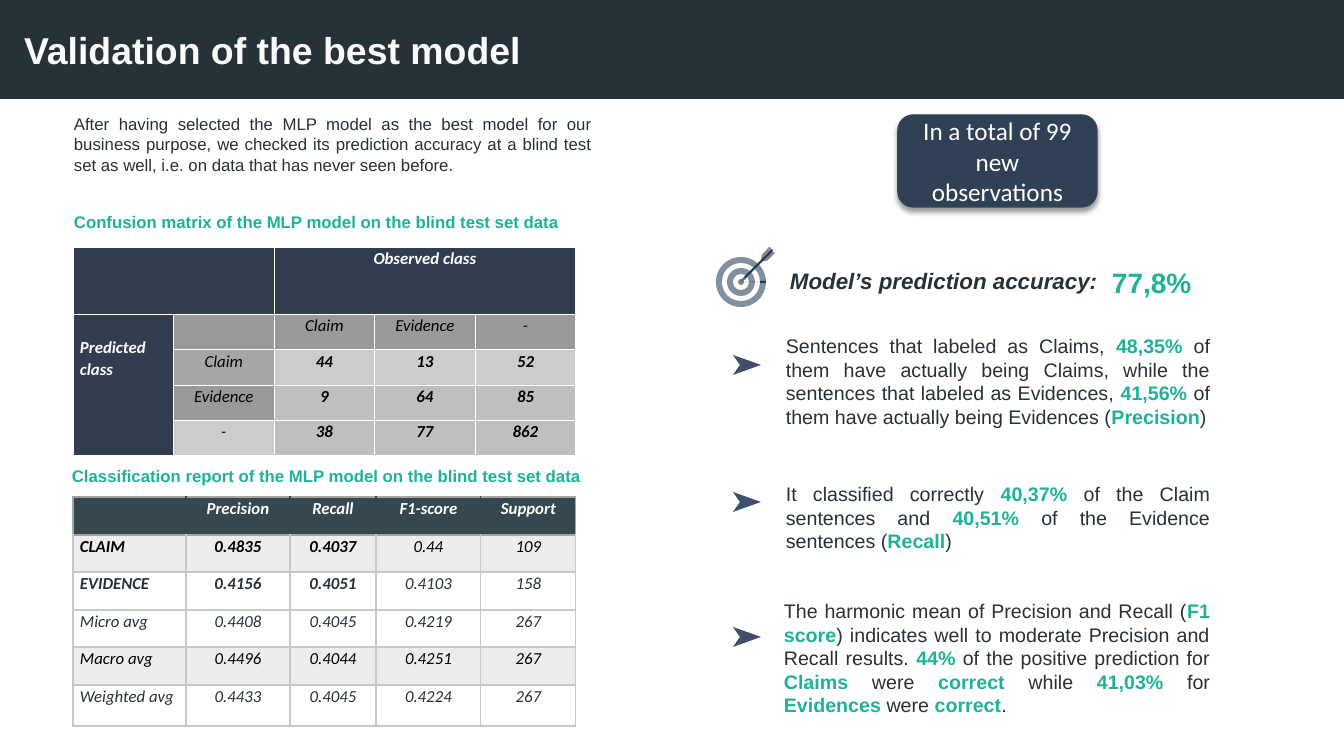
from lxml.etree import SubElement
from pptx import Presentation
from pptx.dml.color import RGBColor
from pptx.enum.shapes import MSO_SHAPE as Shape
from pptx.enum.text import MSO_ANCHOR as Anchor, PP_ALIGN as Align
from pptx.oxml import parse_xml
from pptx.oxml.ns import nsdecls, qn
from pptx.util import Pt

SCALE = 914400 / 100.8  # EMU in one px
INK, TEAL, WHITE, BLACK = "263238", "1FB299", "FFFFFF", "000000"
NAVY, STEEL, ARROW = "323E4F", "81909E", "3E516C"
HEADER, RULE, GRID, BAND = "37474F", "A5A5A5", "C9C9C9", "EDEDED"


def px(length):
    return round(length * SCALE)


def rgb(color):
    return RGBColor.from_string(color)


class Page:
    """Style and drawing methods for the current slide."""

    def __init__(self, deck):
        slide = deck.slides.add_slide(deck.slide_layouts[6])
        self.top_shapes = self.shapes = slide.shapes

    def start_group(self):
        self.shapes = self.top_shapes.add_group_shape().shapes

    def end_group(self):
        self.shapes = self.top_shapes

    def paint(self, shape, fill, line=None):
        shape.shadow.inherit = False
        shape.fill.solid()
        shape.fill.fore_color.rgb = rgb(fill)
        if line:
            shape.line.color.rgb = rgb(line)
            shape.line.width = Pt(1)
        else:
            shape.line.fill.background()
        return shape

    def shape(self, kind, left, top, width, height, fill, line=None):
        item = self.shapes.add_shape(kind, px(left), px(top), px(width), px(height))
        return self.paint(item, fill, line)

    def polygon(self, points, fill):
        builder = self.shapes.build_freeform(*points[0], scale=SCALE)
        builder.add_line_segments(points[1:], close=True)
        return self.paint(builder.convert_to_shape(), fill)

    def fill_text(self, frame, text, size, color=INK, bold=False, italic=False,
                  align=Align.LEFT, font="Arial", spacing=None):
        """Fill a frame; parts between asterisks become bold and teal."""
        frame.word_wrap = True
        para = frame.paragraphs[0]
        para.alignment = align
        if spacing:
            para.line_spacing = spacing
        style = para.font
        style.name, style.size = font, Pt(size)
        style.bold, style.italic = bold, italic
        style.color.rgb = rgb(color)
        for index, part in enumerate(text.split("*")):
            if not part:
                continue
            span = para.add_run()
            span.text = part
            if index % 2:
                span.font.bold = True
                span.font.color.rgb = rgb(TEAL)

    def text(self, left, top, width, height, text, size, **style):
        box = self.shapes.add_textbox(px(left), px(top), px(width), px(height))
        self.fill_text(box.text_frame, text, size, **style)

    def table(self, left, top, widths, heights):
        frame = self.shapes.add_table(len(heights), len(widths), px(left), px(top),
                                      px(sum(widths)), px(sum(heights)))
        table = frame.table
        table.first_row = table.horz_banding = False
        for column, width in zip(table.columns, widths):
            column.width = px(width)
        for row, height in zip(table.rows, heights):
            row.height = px(height)
        return table

    def cell(self, cell, text, fill, borders, color=BLACK, bold=False, align=Align.CENTER):
        """Borders are four colours: left, right, top, bottom."""
        cell.margin_left = cell.margin_right = px(7)
        cell.margin_top = cell.margin_bottom = 0
        properties = cell._tc.get_or_add_tcPr()
        for side, border in zip("LRTB", borders):
            line = SubElement(properties, qn(f"a:ln{side}"), w=str(Pt(1)))
            solid = SubElement(line, qn("a:solidFill"))
            SubElement(solid, qn("a:srgbClr"), val=border)
        if fill:
            cell.fill.solid()
            cell.fill.fore_color.rgb = rgb(fill)
        else:
            cell.fill.background()
        self.fill_text(cell.text_frame, text, 12, color, bold, True, align, "Calibri", 1.07)


def add_confusion_matrix(page):
    rows = [
        ["", "", "Observed class", "", ""],
        ["Predicted class", "", "Claim", "Evidence", "-"],
        ["", "Claim", "44", "13", "52"],
        ["", "Evidence", "9", "64", "85"],
        ["", "-", "38", "77", "862"],
    ]
    label_fills = [NAVY, "999999", "A6A6A6", "999999", "CCCCCC"]
    value_fills = [NAVY, "999999", "CCCCCC", "BFBFBF", "BFBFBF"]
    table = page.table(73, 247, [100.6] * 5, [67.6] + [35.3] * 4)
    for r, row in enumerate(rows):
        for c, value in enumerate(row):
            heading = r == 0 or c == 0
            fill = NAVY if heading else label_fills[r] if c == 1 else value_fills[r]
            page.cell(table.cell(r, c), value, fill, [WHITE] * 4,
                      color=WHITE if heading else BLACK,
                      bold=heading or (r > 1 and c > 1),
                      align=Align.LEFT if c == 0 else Align.CENTER)
    table.cell(1, 0).margin_top = px(22)
    for first, last in [((0, 0), (0, 1)), ((0, 2), (0, 4)), ((1, 0), (4, 0))]:
        table.cell(*first).merge(table.cell(*last))


def add_classification_report(page):
    rows = [
        ["", "Precision", "Recall", "F1-score", "Support"],
        ["CLAIM", "0.4835", "0.4037", "0.44", "109"],
        ["EVIDENCE", "0.4156", "0.4051", "0.4103", "158"],
        ["Micro avg", "0.4408", "0.4045", "0.4219", "267"],
        ["Macro avg", "0.4496", "0.4044", "0.4251", "267"],
        ["Weighted avg", "0.4433", "0.4045", "0.4224", "267"],
    ]
    table = page.table(73, 497, [113, 104, 86, 105, 95], [38, 37, 38, 37, 38, 41])
    for r, row in enumerate(rows):
        banded = r in (1, 4)
        for c, value in enumerate(row):
            if r == 0:
                borders = [RULE if c == 0 else HEADER, RULE if c == 4 else HEADER, RULE, RULE]
                page.cell(table.cell(r, c), value, HEADER, borders, WHITE, True)
            else:
                borders = [GRID, GRID, RULE if r == 1 else GRID, GRID]
                page.cell(table.cell(r, c), value, BAND if banded else None, borders,
                          BLACK if banded else INK, bold=r < 3 and c < 3,
                          align=Align.LEFT if c == 0 else Align.CENTER)


def add_target(page):
    page.start_group()
    center_x, center_y = 741, 282
    # Rings from the outside in, each with a thin shaded strip
    for radius, fill, strip in [(25, STEEL, "213B55"), (19, WHITE, "E3E9EE"),
                                (14, STEEL, "828282"), (8, WHITE, "E3E9EE"),
                                (3, STEEL, "828282")]:
        page.shape(Shape.OVAL, center_x - radius, center_y - radius,
                   2 * radius, 2 * radius, fill)
        page.shape(Shape.RECTANGLE, center_x, center_y - 1, radius, 2, strip)
    # Dart: feathers, tip and shaft
    page.polygon([(770, 247), (762, 255), (761, 261), (766, 261), (768, 260),
                  (775, 253), (774, 252), (771, 252), (771, 248)], "828282")
    page.polygon([(769, 247), (762, 255), (761, 261), (771, 252), (771, 248)], STEEL)
    page.polygon([(745, 276), (740, 281), (741, 283), (747, 278)], "707070")
    page.polygon([(772, 249), (744, 277), (746, 278), (773, 251)], "213B55")
    page.end_group()


def add_badge(page):
    badge = page.shape(Shape.ROUNDED_RECTANGLE, 898, 115, 199, 92, "314055", "34435A")
    badge.text_frame.vertical_anchor = Anchor.MIDDLE
    page.fill_text(badge.text_frame, "In a total of 99 new observations", 18, WHITE,
                   align=Align.CENTER, font="Calibri")
    shadow = parse_xml(
        f'<a:outerShdw {nsdecls("a")} blurRad="{Pt(4)}" dist="{Pt(3)}" dir="5400000">'
        '<a:srgbClr val="000000"><a:alpha val="40000"/></a:srgbClr></a:outerShdw>')
    badge._element.spPr.find(qn("a:effectLst")).append(shadow)


def main():
    deck = Presentation()
    deck.slide_width, deck.slide_height = px(1344), px(756)
    page = Page(deck)

    # Title bar
    bar = page.shape(Shape.RECTANGLE, 0, 0, 1344, 99, INK)
    bar.text_frame.margin_left = px(24)
    bar.text_frame.vertical_anchor = Anchor.MIDDLE
    page.fill_text(bar.text_frame, "Validation of the best model", 26.7, "FAFAFA", bold=True)

    # Left half: introduction and tables
    page.text(64, 109, 538, 72, "After having selected the MLP model as the best model for our "
              "business purpose, we checked its prediction accuracy at a blind test set as well, "
              "i.e. on data that has never seen before.", 12, align=Align.JUSTIFY)
    page.text(64, 207, 520, 30, "Confusion matrix of the MLP model on the blind test set data",
              12, color=TEAL, bold=True)
    add_confusion_matrix(page)
    page.text(62, 461, 539, 30, "Classification report of the MLP model on the blind test set data",
              12, color=TEAL, bold=True)
    add_classification_report(page)

    # Right half: accuracy and findings
    add_badge(page)
    add_target(page)
    page.text(780, 262, 336, 37, "Model’s prediction accuracy:", 16, bold=True, italic=True)
    page.text(1102, 261, 116, 44, "77,8%", 20, color=TEAL, bold=True)
    findings = [
        (355, 776, 329, 105, "Sentences that labeled as Claims, *48,35% *of them have actually "
         "being Claims, while the sentences that labeled as Evidences, *41,56% *of them have "
         "actually being Evidences (*Precision*)"),
        (492, 776, 477, 82, "It classified correctly *40,37%* of the Claim sentences and "
         "*40,51%* of the Evidence sentences (*Recall*)"),
        (627, 774, 594, 129, "The harmonic mean of Precision and Recall (*F1 score*) indicates "
         "well to moderate Precision and Recall results. *44% *of the positive prediction for "
         "*Claims *were* correct *while* 41,03% *for *Evidences *were *correct*."),
    ]
    for arrow_top, left, top, height, finding in findings:
        page.polygon([(733, arrow_top), (740, arrow_top + 10), (733, arrow_top + 20),
                      (761, arrow_top + 10)], ARROW)
        page.text(left, top, 1220 - left, height, finding, 14, align=Align.JUSTIFY)

    deck.save("out.pptx")


if __name__ == "__main__":
    main()
